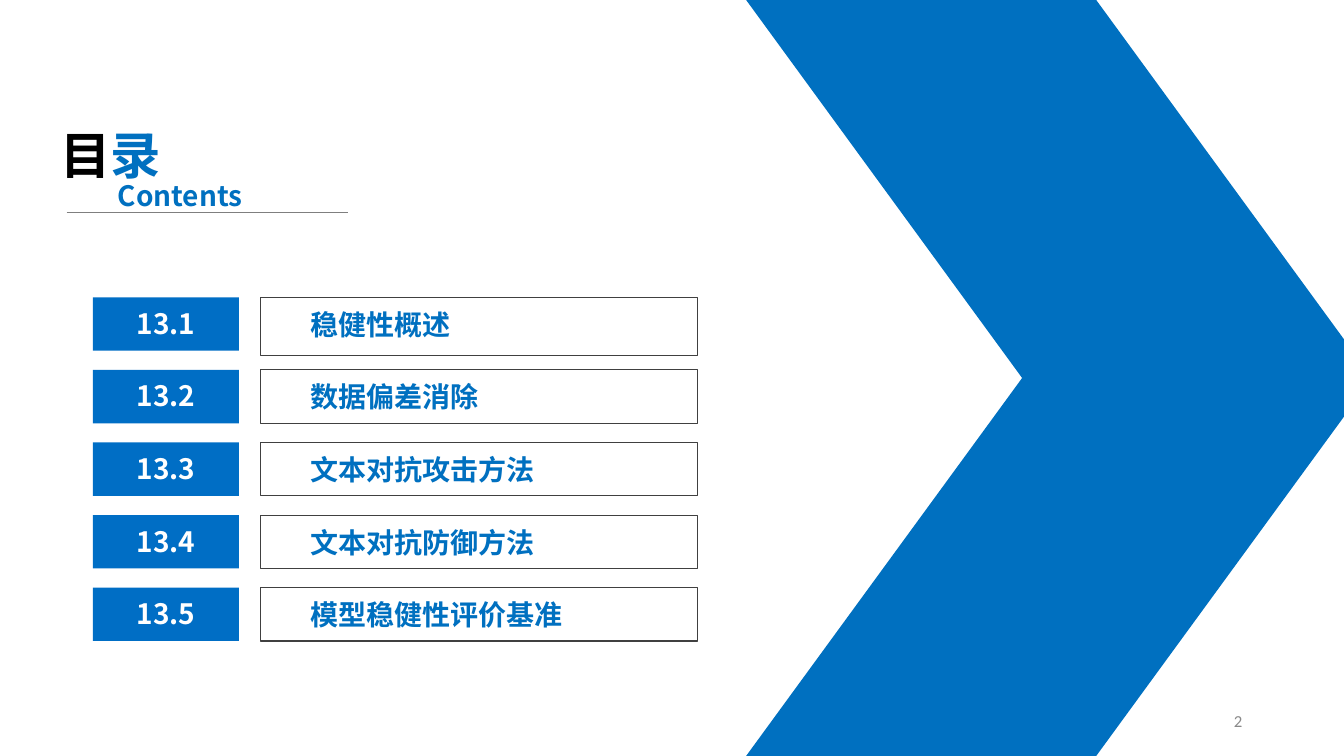
import pptx
import pptx.util
import pptx.dml.color
import pptx.enum.shapes
import pptx.enum.text
import pptx.oxml.ns
from lxml import etree

Inches = pptx.util.Inches
Shape = pptx.enum.shapes.MSO_SHAPE
Align = pptx.enum.text.PP_ALIGN
Anchor = pptx.enum.text.MSO_ANCHOR
qn = pptx.oxml.ns.qn

WIDTH, HEIGHT = 13.33, 7.5
BLUE, LABEL_BLUE = "0070C0", "006EC5"
HEADING = {"name": "Noto Sans CJK SC", "size": pptx.util.Pt(20), "bold": True}
TITLE = {**HEADING, "size": pptx.util.Pt(36)}
NUMBER = {"name": "Calibri", "size": pptx.util.Pt(12)}
SECTIONS = ["稳健性概述", "数据偏差消除", "文本对抗攻击方法", "文本对抗防御方法", "模型稳健性评价基准"]


def colour(value):
    return pptx.dml.color.RGBColor.from_string(value)


def add_block(page, kind, box, fill=None, line=None):
    block = page.shapes.add_shape(kind, *map(Inches, box))
    block.shadow.inherit = False
    if fill:
        block.fill.solid()
        block.fill.fore_color.rgb = colour(fill)
    else:
        block.fill.background()
    if line:
        block.line.color.rgb = colour(line)
        block.line.width = pptx.util.Pt(0.75)
    else:
        block.line.fill.background()
    return block


def add_text(page, box, spans, style, align=Align.LEFT, anchor=Anchor.TOP):
    """Place one paragraph made of (text, colour) spans."""
    frame = page.shapes.add_textbox(*map(Inches, box)).text_frame
    frame.word_wrap = True
    frame.vertical_anchor = anchor
    para = frame.paragraphs[0]
    para.alignment = align
    for text, shade in spans:
        span = para.add_run()
        span.text = text
        for key, value in style.items():
            setattr(span.font, key, value)
        span.font.color.rgb = colour(shade)
        east_asian = etree.SubElement(span.font._element, qn("a:ea"))
        east_asian.set("typeface", style["name"])


def add_chevron(page, box):
    """Stack two mirrored parallelograms into one right-pointing band."""
    left, top, width, height = box
    half = height / 2
    for row in range(2):
        arm = add_block(page, Shape.PARALLELOGRAM,
                        (left, top + row * half, width, half), fill=BLUE)
        arm.adjustments[0] = 0.73
        if row == 0:
            arm._element.spPr.find(qn("a:xfrm")).set("flipV", "1")


def add_heading(page, box):
    left, top, width, height = box
    add_text(page, (left, top, 1.57, 0.71), [("目", "000000"), ("录", BLUE)], TITLE)
    add_text(page, (left + 0.57, top + 0.54, 1.57, 0.44), [("Contents", BLUE)], HEADING)
    start, end, base = left + 0.16, left + width, top + height
    rule = page.shapes.add_connector(pptx.enum.shapes.MSO_CONNECTOR.STRAIGHT,
                                     *map(Inches, (start, base, end, base)))
    rule.line.color.rgb = colour("7F7F7F")
    rule.line.width = pptx.util.Pt(0.5)
    etree.SubElement(rule._element.spPr, qn("a:effectLst"))


def add_section(page, box, number, title, frame_height):
    left, top, width, height = box
    frame_left = left + 1.66
    add_block(page, Shape.RECTANGLE,
              (frame_left, top, width - 1.66, frame_height), line="404040")
    add_text(page, (frame_left + 0.4, top + 0.05, 3.69, 0.44), [(title, BLUE)], HEADING)
    add_block(page, Shape.RECTANGLE, (left, top, 1.45, height), fill=LABEL_BLUE)
    add_text(page, (left + 0.2, top + 0.04, 1.05, 0.44), [(number, "FFFFFF")],
             HEADING, Align.CENTER)


def add_section_list(page, box):
    left, top, width, height = box
    row_height = 0.53
    pitch = (height - row_height) / (len(SECTIONS) - 1)
    for index, title in enumerate(SECTIONS):
        frame_height = 0.58 if index == 0 else row_height
        add_section(page, (left, top + index * pitch, width, row_height),
                    f"13.{index + 1}", title, frame_height)


def add_contents_page(deck):
    page = deck.slides.add_slide(deck.slide_layouts[6])
    add_chevron(page, (7.4, 0, 6.21, HEIGHT))
    add_section_list(page, (0.92, 2.95, 6, 3.41))
    add_heading(page, (0.5, 1.18, 2.95, 0.93))
    add_text(page, (9.42, 6.95, 3, 0.4), [("2", "898989")], NUMBER,
             Align.RIGHT, Anchor.MIDDLE)


def main():
    deck = pptx.Presentation()
    deck.slide_width, deck.slide_height = Inches(WIDTH), Inches(HEIGHT)
    add_contents_page(deck)
    deck.save("out.pptx")


if __name__ == "__main__":
    main()
